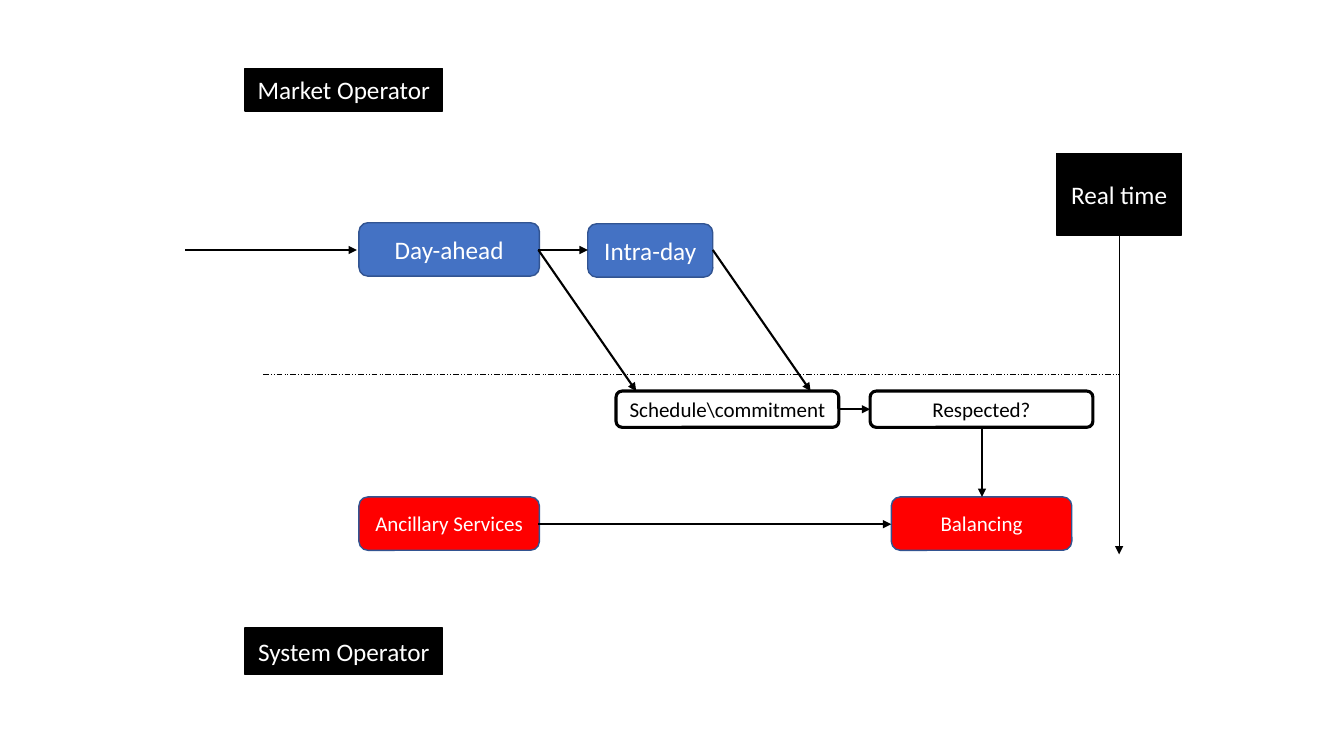
import pptx
import pptx.util
import pptx.dml.color
import pptx.enum.dml
import pptx.enum.shapes
import pptx.enum.text
from lxml import etree

Inches = pptx.util.Inches
Pt = pptx.util.Pt
RGBColor = pptx.dml.color.RGBColor
Preset = pptx.enum.shapes.MSO_SHAPE
Dash = pptx.enum.dml.MSO_LINE

BLACK = RGBColor(0x00, 0x00, 0x00)
WHITE = RGBColor(0xFF, 0xFF, 0xFF)
BLUE = RGBColor(0x44, 0x72, 0xC4)
NAVY = RGBColor(0x32, 0x54, 0x91)
RED = RGBColor(0xFF, 0x00, 0x00)
DRAWING_NS = "{http://schemas.openxmlformats.org/drawingml/2006/main}"

presentation = pptx.Presentation()
presentation.slide_width = Inches(13.33)
presentation.slide_height = Inches(7.5)
slide = presentation.slides.add_slide(presentation.slide_layouts[6])

ACTOR = (Preset.RECTANGLE, BLACK, BLACK, 1, WHITE, 18)
MARKET = (Preset.ROUNDED_RECTANGLE, BLUE, NAVY, 1, WHITE, 18)
SERVICE = (Preset.ROUNDED_RECTANGLE, RED, NAVY, 1, WHITE, 15)
CHECK = (Preset.ROUNDED_RECTANGLE, None, BLACK, 2.25, BLACK, 15)

stages = [
    ("Real time", 10.48, 1.52, 1.24, 0.81, ACTOR),
    ("Market Operator", 2.43, 0.68, 1.96, 0.42, ACTOR),
    ("System Operator", 2.43, 6.23, 1.96, 0.46, ACTOR),
    ("Day-ahead", 3.56, 2.21, 1.79, 0.53, MARKET),
    ("Intra-day", 5.83, 2.22, 1.24, 0.53, MARKET),
    ("Schedule\\commitment", 6.11, 3.88, 2.21, 0.36, CHECK),
    ("Respected?", 8.63, 3.88, 2.21, 0.36, CHECK),
    ("Ancillary Services", 3.56, 4.93, 1.79, 0.53, SERVICE),
    ("Balancing", 8.84, 4.93, 1.79, 0.53, SERVICE),
]
for label, left, top, width, height, style in stages:
    preset, fill, outline, weight, ink, size = style
    stage = slide.shapes.add_shape(
        preset, Inches(left), Inches(top), Inches(width), Inches(height))
    stage.shadow.inherit = False
    if fill is None:
        stage.fill.background()
    else:
        stage.fill.solid()
        stage.fill.fore_color.rgb = fill
    stage.line.color.rgb = outline
    stage.line.width = Pt(weight)
    frame = stage.text_frame
    frame.word_wrap = True
    frame.vertical_anchor = pptx.enum.text.MSO_ANCHOR.MIDDLE
    frame.text = label
    paragraph = frame.paragraphs[0]
    paragraph.alignment = pptx.enum.text.PP_ALIGN.CENTER
    font = paragraph.runs[0].font
    font.name = "Calibri"
    font.size = Pt(size)
    font.color.rgb = ink

flows = [
    (11.1, 2.33, 11.1, 5.5, 0.5, None),
    (2.61, 3.71, 11.1, 3.71, 0.5, Dash.DASH_DOT_DOT),
    (1.84, 2.48, 3.54, 2.48, 1.5, None),
    (5.34, 2.48, 5.83, 2.48, 1.5, None),
    (5.34, 2.48, 6.31, 3.88, 1.5, None),
    (7.07, 2.48, 8.04, 3.88, 1.5, None),
    (8.32, 4.06, 8.63, 4.06, 1.5, None),
    (9.74, 4.24, 9.74, 4.93, 1.5, None),
    (5.34, 5.2, 8.84, 5.2, 1.5, None),
]
for start_x, start_y, end_x, end_y, weight, dash in flows:
    flow = slide.shapes.add_connector(
        pptx.enum.shapes.MSO_CONNECTOR.STRAIGHT,
        Inches(start_x), Inches(start_y), Inches(end_x), Inches(end_y))
    flow.line.color.rgb = BLACK
    flow.line.width = Pt(weight)
    if dash is None:
        outline = flow._element.spPr.find(DRAWING_NS + "ln")
        etree.SubElement(outline, DRAWING_NS + "tailEnd", type="triangle")
    else:
        flow.line.dash_style = dash
    etree.SubElement(flow._element.spPr, DRAWING_NS + "effectLst")

presentation.save("out.pptx")
